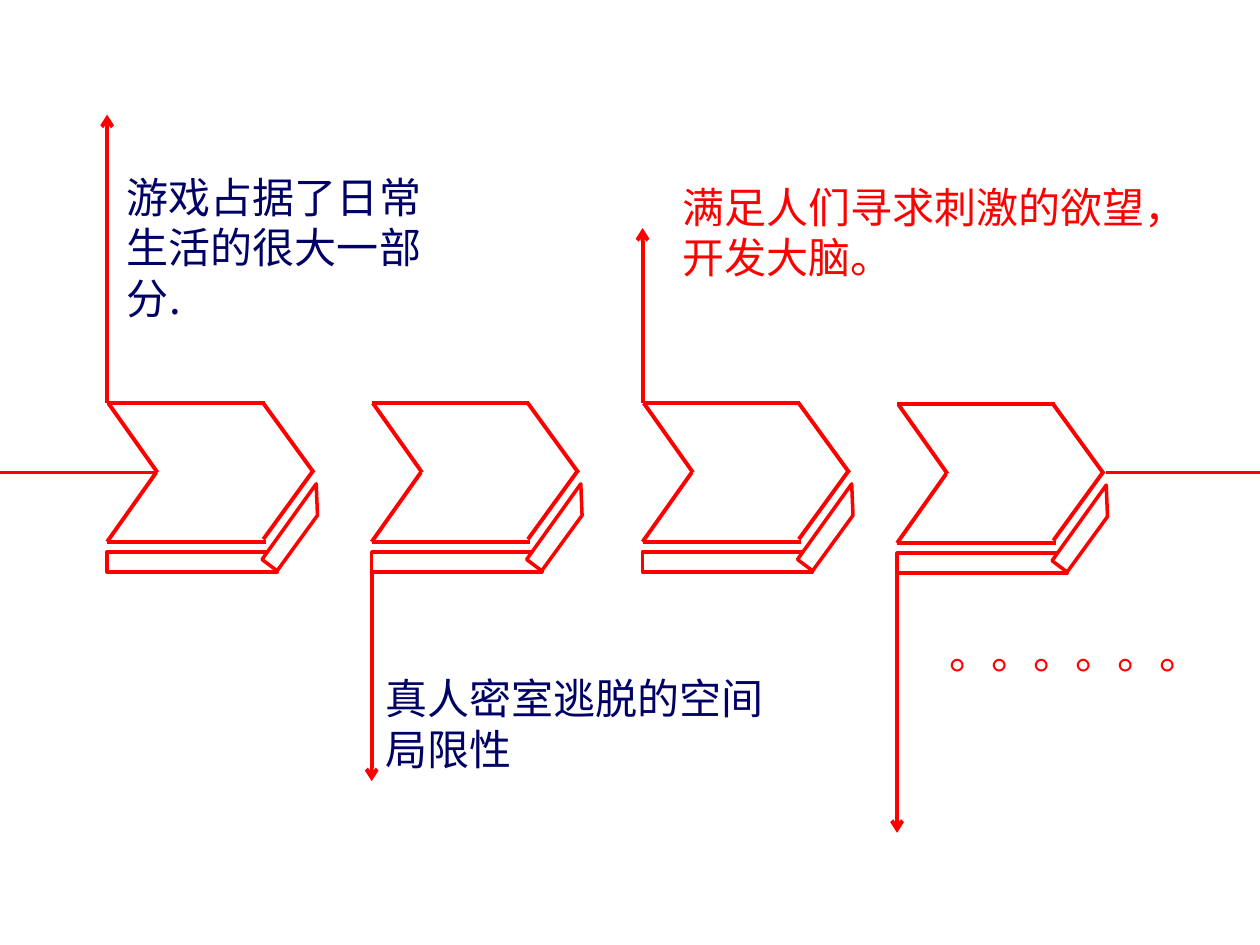
from dataclasses import dataclass

from lxml import etree
from pptx import Presentation
from pptx import util as u
from pptx.dml.color import RGBColor
from pptx.enum import shapes, text
from pptx.oxml.ns import qn


@dataclass(frozen=True)
class Theme:
    red: RGBColor = RGBColor(0xFF, 0, 0)
    navy: RGBColor = RGBColor(0, 0, 0x66)
    white: RGBColor = RGBColor(0xFF, 0xFF, 0xFF)
    cjk: str = "Noto Sans CJK SC"
    latin: str = "Calibri"
    text_size: float = 24
    line_width: float = 2.25
    edge_width: float = 2


THEME = Theme()
WIDTH, HEIGHT = 10, 7.5

# Top left corner of each arrow block, and the height its pointer reaches
STEPS = [
    {"corner": (0.85, 3.2), "pointer_end": 0.91},
    {"corner": (2.95, 3.2), "pointer_end": 6.2},
    {"corner": (5.1, 3.2), "pointer_end": 1.81},
    {"corner": (7.12, 3.21), "pointer_end": 6.61},
]
TIMELINE = [((0, 3.75), (1.22, 3.75)), ((8.78, 3.75), (WIDTH, 3.75))]
LABELS = [  # text, (left, top, width, height), colour, font, wraps
    ("游戏占据了日常生活的很大一部分.", (0.91, 1.31, 2.67, 1.31), THEME.navy, THEME.cjk, True),
    ("真人密室逃脱的空间局限性", (2.96, 5.29, 3.37, 0.91), THEME.navy, THEME.cjk, True),
    ("。。。。。。", (7.44, 4.93, 2.22, 0.5), THEME.red, THEME.cjk, False),
    ("满足人们寻求刺激的欲望，开发大脑。", (5.32, 1.39, 4.05, 1.31), THEME.red, THEME.latin, True),
]

# Parts of one block, measured from its top left corner
CHEVRON = [
    ((0.4, 0.55), (0.01, 0)),
    ((1.25, 0), (0, 0)),
    ((1.64, 0.55), (1.24, 0)),
    ((0.39, 0.55), (0, 1.1)),
    ((1.26, 1.1), (0, 1.1)),
    ((1.64, 0.53), (1.24, 1.08)),
]
FRONT_EDGE = (0, 1.18, 1.35, 0.16)
SIDE_EDGE = [(1.23, 1.24), (1.66, 0.64), (1.67, 0.89), (1.35, 1.33)]


def inches(values):
    return [u.Inches(value) for value in values]


def add_line(slide, start, end, arrow=False):
    line = slide.shapes.add_connector(shapes.MSO_CONNECTOR.STRAIGHT, *inches(start + end))
    line.line.color.rgb = THEME.red
    line.line.width = u.Pt(THEME.line_width)
    properties = line.element.spPr
    if arrow:
        etree.SubElement(properties.find(qn("a:ln")), qn("a:tailEnd"), type="arrow")
    etree.SubElement(properties, qn("a:effectLst"))


def style_edge(shape):
    shape.shadow.inherit = False
    shape.fill.solid()
    shape.fill.fore_color.rgb = THEME.white
    shape.line.color.rgb = THEME.red
    shape.line.width = u.Pt(THEME.edge_width)


def add_step(slide, corner, pointer_end):
    """Draw a chevron with its two thick edges and its vertical pointer."""
    left, top = corner

    def place(point):
        return left + point[0], top + point[1]

    for start, end in CHEVRON:
        add_line(slide, place(start), place(end))

    front = place(FRONT_EDGE) + FRONT_EDGE[2:]
    style_edge(slide.shapes.add_shape(shapes.MSO_SHAPE.RECTANGLE, *inches(front)))

    first, *others = [inches(place(point)) for point in SIDE_EDGE]
    builder = slide.shapes.build_freeform(*first)
    builder.add_line_segments(others, close=True)
    style_edge(builder.convert_to_shape())

    pointer_start = top if pointer_end < top else top + FRONT_EDGE[1] + FRONT_EDGE[3]
    add_line(slide, (left, pointer_start), (left, pointer_end), arrow=True)


def add_label(slide, words, box, color, font_name, wraps):
    frame = slide.shapes.add_textbox(*inches(box)).text_frame
    frame.word_wrap = wraps
    frame.auto_size = text.MSO_AUTO_SIZE.SHAPE_TO_FIT_TEXT
    paragraph = frame.paragraphs[0]
    run = paragraph.add_run()
    run.text = words
    run.font.size = u.Pt(THEME.text_size)
    run.font.color.rgb = color
    run.font.name = font_name
    properties = run.font._element
    etree.SubElement(properties, qn("a:ea"), typeface=THEME.cjk)


def main():
    presentation = Presentation()
    presentation.slide_width, presentation.slide_height = inches((WIDTH, HEIGHT))
    slide = presentation.slides.add_slide(presentation.slide_layouts.get_by_name("Blank"))
    for start, end in TIMELINE:
        add_line(slide, start, end)
    for step in STEPS:
        add_step(slide, **step)
    for label in LABELS:
        add_label(slide, *label)
    presentation.save("out.pptx")


if __name__ == "__main__":
    main()
